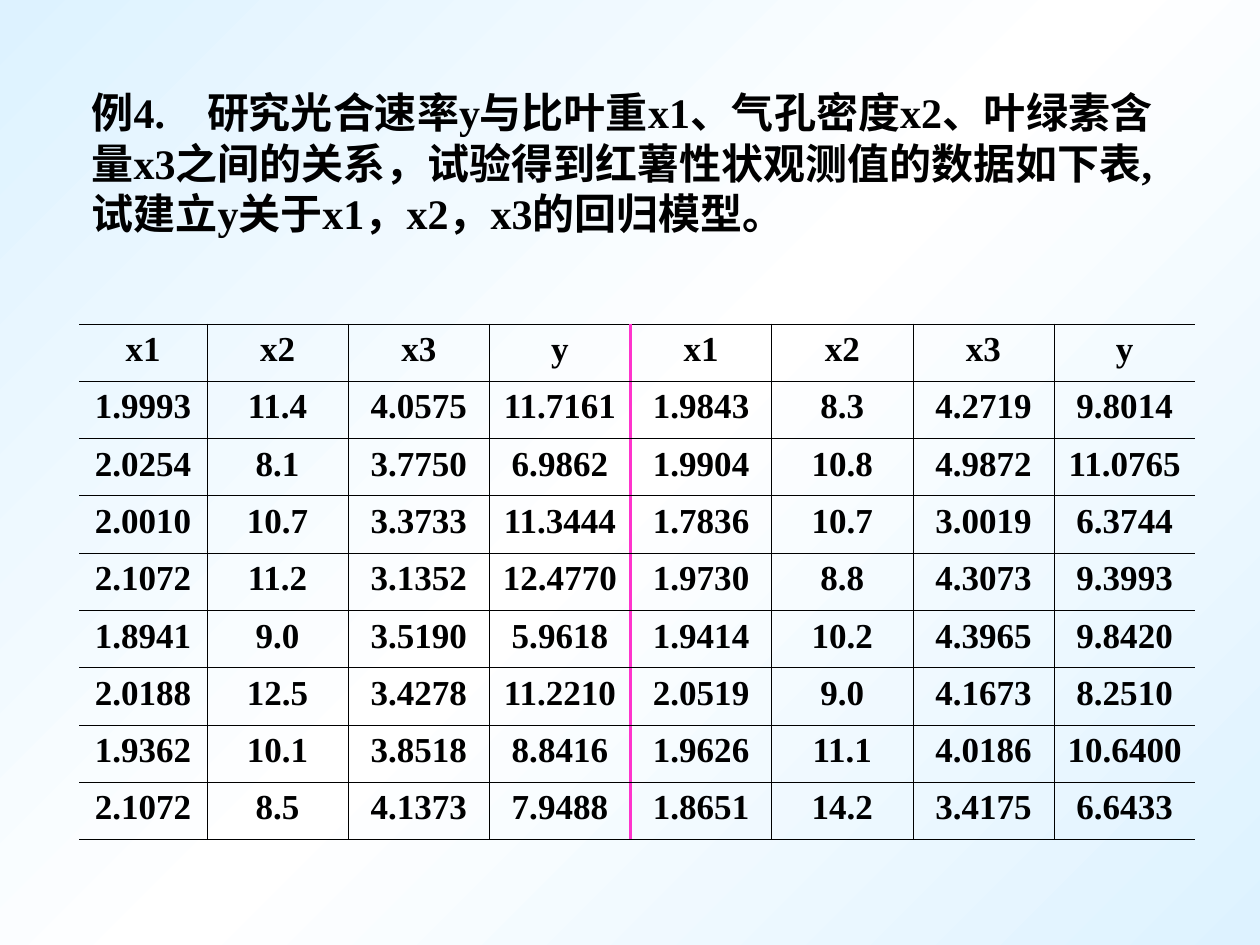
from copy import deepcopy

from lxml.etree import SubElement
from pptx import Presentation
from pptx.dml.color import RGBColor
from pptx.enum.text import PP_ALIGN
from pptx.oxml.ns import qn
from pptx.util import Pt


def color(value):
    return RGBColor.from_string(value)


def add_bold_run(paragraph, text, size):
    run = paragraph.add_run()
    run.text = text
    run.font.name = "Times New Roman"
    run.font.size = Pt(size)
    run.font.bold = True
    run.font.color.rgb = color("000000")


prs = Presentation()
prs.slide_width = Pt(720)
prs.slide_height = Pt(540)
slide = prs.slides.add_slide(prs.slide_layouts[6])

backdrop = slide.background.fill
backdrop.gradient()
backdrop.gradient_angle = 315
stop_list = next(slide.element.iter(qn("a:gsLst")))
stop_list.append(deepcopy(stop_list[-1]))
for stop, position, tint in zip(backdrop.gradient_stops, (0, 0.5, 1), ("DDF2FF", "FFFFFF", "DDF2FF")):
    stop.position = position
    stop.color.rgb = color(tint)

problem = slide.shapes.add_textbox(Pt(45.2), Pt(46), Pt(638), Pt(93.6)).text_frame
problem.word_wrap = True
statement = problem.paragraphs[0]
tab_stops = SubElement(statement._p.get_or_add_pPr(), qn("a:tabLst"))
SubElement(tab_stops, qn("a:tab"), pos=str(Pt(66)), algn="l")
add_bold_run(
    statement,
    "例4.\t研究光合速率y与比叶重x1、气孔密度x2、叶绿素含量x3之间的关系，"
    "试验得到红薯性状观测值的数据如下表,试建立y关于x1，x2，x3的回归模型。",
    24,
)

observations = [
    ["x1", "x2", "x3", "y", "x1", "x2", "x3", "y"],
    ["1.9993", "11.4", "4.0575", "11.7161", "1.9843", "8.3", "4.2719", "9.8014"],
    ["2.0254", "8.1", "3.7750", "6.9862", "1.9904", "10.8", "4.9872", "11.0765"],
    ["2.0010", "10.7", "3.3733", "11.3444", "1.7836", "10.7", "3.0019", "6.3744"],
    ["2.1072", "11.2", "3.1352", "12.4770", "1.9730", "8.8", "4.3073", "9.3993"],
    ["1.8941", "9.0", "3.5190", "5.9618", "1.9414", "10.2", "4.3965", "9.8420"],
    ["2.0188", "12.5", "3.4278", "11.2210", "2.0519", "9.0", "4.1673", "8.2510"],
    ["1.9362", "10.1", "3.8518", "8.8416", "1.9626", "11.1", "4.0186", "10.6400"],
    ["2.1072", "8.5", "4.1373", "7.9488", "1.8651", "14.2", "3.4175", "6.6433"],
]
row_count, column_count = len(observations), len(observations[0])
thin, divider, hidden = ("000000", 0.45), ("FF33CC", 1.47), None
column_edges = [hidden] + [thin] * 3 + [divider] + [thin] * 3 + [hidden]

data = slide.shapes.add_table(
    row_count, column_count, Pt(45.2), Pt(185.1), Pt(638), Pt(294.75)
).table
data.first_row = False
data.horz_banding = False
data._tbl.tblPr.find(qn("a:tableStyleId")).text = "{2D5ABB26-0587-4C30-8999-92F81FD0307C}"
for index, column in enumerate(data.columns):
    column.width = Pt(80.7 if index else 73.1)

for row_index, values in enumerate(observations):
    data.rows[row_index].height = Pt(32.75)
    for column_index, value in enumerate(values):
        cell = data.cell(row_index, column_index)
        properties = cell._tc.get_or_add_tcPr()
        edges = {
            "a:lnL": column_edges[column_index],
            "a:lnR": column_edges[column_index + 1],
            "a:lnT": thin,
            "a:lnB": thin,
        }
        for side, edge in edges.items():
            if edge is hidden:
                SubElement(SubElement(properties, qn(side), w="0"), qn("a:noFill"))
            else:
                line = SubElement(properties, qn(side), w=str(Pt(edge[1])))
                SubElement(SubElement(line, qn("a:solidFill")), qn("a:srgbClr"), val=edge[0])
        cell.fill.background()
        entry = cell.text_frame.paragraphs[0]
        entry.alignment = PP_ALIGN.CENTER
        add_bold_run(entry, value, 20)

prs.save("out.pptx")
